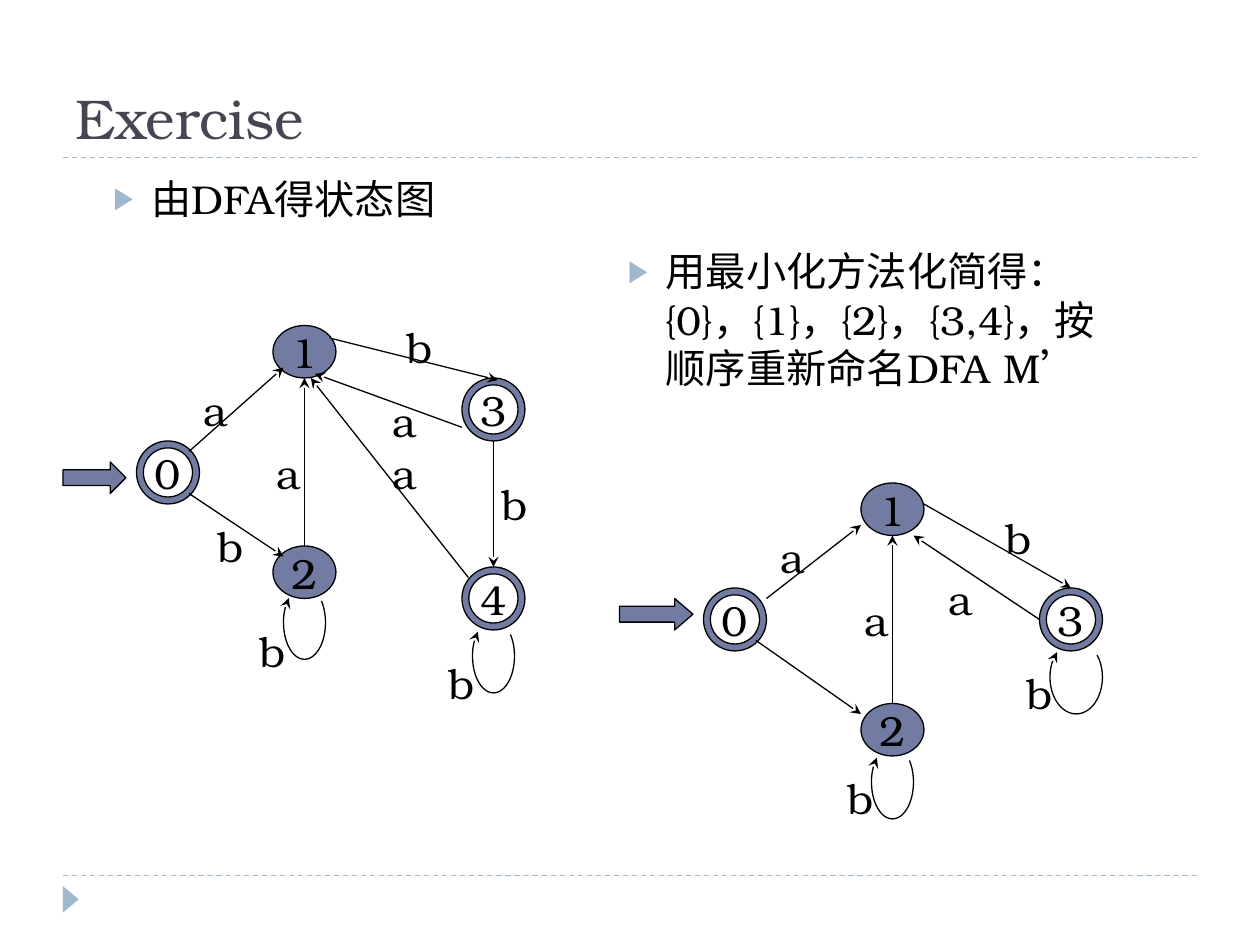
from dataclasses import dataclass

import pptx
import pptx.dml.color
import pptx.enum.dml
import pptx.enum.shapes
import pptx.enum.text
import pptx.oxml
import pptx.oxml.ns
import pptx.util

Cm = pptx.util.Cm
Pt = pptx.util.Pt
RGB = pptx.dml.color.RGBColor
SHAPE = pptx.enum.shapes.MSO_SHAPE
ANCHOR = pptx.enum.text.MSO_ANCHOR
ALIGN = pptx.enum.text.PP_ALIGN

GRID_CM = 2.54 / 12  # the slide is 120 by 90 grid steps
LABEL_WIDTH = {"a": 9, "b": 8}
LABEL_HEIGHT = 6.12
LOOP_HEIGHT = 7


@dataclass(frozen=True)
class Theme:
    font: str = "TeX Gyre Bonum"
    ink: RGB = RGB(0x00, 0x00, 0x00)
    heading: RGB = RGB(0x46, 0x46, 0x53)
    state: RGB = RGB(0x72, 0x7C, 0xA3)
    accent: RGB = RGB(0x9F, 0xB8, 0xCD)
    title_size: float = 32
    body_size: float = 23
    label_size: float = 24
    line_width: float = 0.75


THEME = Theme()


@dataclass(frozen=True)
class State:
    name: str
    x: float
    y: float
    accepting: bool = False


@dataclass(frozen=True)
class Edge:
    x1: float
    y1: float
    x2: float
    y2: float


@dataclass(frozen=True)
class Loop:
    x: float
    y: float
    width: float = 4
    start: float = 308
    end: float = 237.6


@dataclass(frozen=True)
class Label:
    letter: str
    x: float
    y: float


@dataclass(frozen=True)
class StartArrow:
    x: float
    y: float
    width: float
    head: float


@dataclass(frozen=True)
class Automaton:
    states: list[State]
    edges: list[Edge]
    loops: list[Loop]
    labels: list[Label]
    start: StartArrow


FULL_DFA = Automaton(
    states=[State("1", 26, 31), State("0", 13, 42, True), State("2", 26, 52),
            State("4", 44, 54, True), State("3", 44, 36, True)],
    edges=[Edge(18, 43, 27, 35), Edge(31.4, 32.2, 47.4, 36.2),
           Edge(44, 40.7, 30, 35.6), Edge(47, 42, 47, 54),
           Edge(44.6, 55, 29.6, 36), Edge(29, 52, 29, 36),
           Edge(18, 47, 27, 53)],
    loops=[Loop(27, 55.8), Loop(45, 59)],
    labels=[Label("a", 16, 36), Label("a", 34, 37.1), Label("a", 23, 42),
            Label("a", 34, 42), Label("b", 18, 49), Label("b", 22, 59),
            Label("b", 40, 62), Label("b", 36, 30), Label("b", 45, 45)],
    start=StartArrow(6, 44, 6, 0.5),
)
MINIMAL_DFA = Automaton(
    states=[State("0", 67, 56, True), State("3", 99, 56, True),
            State("1", 82, 46), State("2", 82, 67)],
    edges=[Edge(73, 57, 82, 50), Edge(88, 48, 102, 56), Edge(99, 59, 87, 51),
           Edge(72, 61, 82, 68), Edge(85, 67, 85, 51)],
    loops=[Loop(83, 71), Loop(100, 61, 5, 313, 232.6)],
    labels=[Label("a", 71, 50), Label("a", 79, 56), Label("a", 87, 54),
            Label("b", 78, 73), Label("b", 95, 63), Label("b", 93, 48.2)],
    start=StartArrow(59, 57, 7, 0.58),
)


def grid(*steps: float) -> list[Cm]:
    """Turn grid steps into lengths."""
    return [Cm(step * GRID_CM) for step in steps]


def add_xml(parent, tag: str, **attributes: str):
    child = pptx.oxml.ns.qn(tag)
    element = parent.makeelement(child, attributes)
    parent.append(element)
    return element


def style_text(paragraph, size: float, color: RGB) -> None:
    for run in paragraph.runs:
        run.font.name = THEME.font
        run.font.size = Pt(size)
        run.font.color.rgb = color


def outline(item, color: RGB = THEME.ink) -> None:
    item.line.color.rgb = color
    item.line.width = Pt(THEME.line_width)


def add_arrowhead(item) -> None:
    add_xml(item.line._get_or_add_ln(), "a:tailEnd", type="stealth")


def add_figure(shapes, kind, x: float, y: float, width: float, height: float):
    figure = shapes.add_shape(kind, *grid(x, y, width, height))
    figure.shadow.inherit = False
    outline(figure)
    return figure


def fill(figure, color: RGB) -> None:
    figure.fill.solid()
    figure.fill.fore_color.rgb = color


def add_line(shapes, edge: Edge, color: RGB = THEME.ink):
    line = shapes.add_connector(pptx.enum.shapes.MSO_CONNECTOR.STRAIGHT,
                                *grid(edge.x1, edge.y1, edge.x2, edge.y2))
    outline(line, color)
    add_xml(line._element.spPr, "a:effectLst")
    return line


def center_text(frame, text: str) -> None:
    frame.text = text
    frame.paragraphs[0].alignment = ALIGN.CENTER
    style_text(frame.paragraphs[0], THEME.label_size, THEME.ink)


def draw_state(shapes, state: State) -> None:
    kind, height = (SHAPE.DONUT, 6) if state.accepting else (SHAPE.OVAL, 5)
    node = add_figure(shapes, kind, state.x, state.y, 6, height)
    if state.accepting:
        node.adjustments[0] = 0.11
    fill(node, THEME.state)
    node.text_frame.word_wrap = False
    node.text_frame.vertical_anchor = ANCHOR.MIDDLE
    center_text(node.text_frame, state.name)


def draw_loop(shapes, loop: Loop) -> None:
    arc = add_figure(shapes, SHAPE.ARC, loop.x, loop.y, loop.width, LOOP_HEIGHT)
    arc.fill.background()
    for index, degrees in enumerate((loop.start, loop.end)):
        arc.adjustments[index] = degrees * 0.6  # 60000ths of a degree / 100000
    add_arrowhead(arc)


def draw_label(shapes, label: Label) -> None:
    box = shapes.add_textbox(*grid(label.x, label.y, LABEL_WIDTH[label.letter],
                                   LABEL_HEIGHT))
    box.text_frame.word_wrap = True
    center_text(box.text_frame, label.letter)


def draw_automaton(slide, automaton: Automaton) -> None:
    shapes = slide.shapes.add_group_shape().shapes
    for state in automaton.states:
        draw_state(shapes, state)
    for edge in automaton.edges:
        add_arrowhead(add_line(shapes, edge))
    for loop in automaton.loops:
        draw_loop(shapes, loop)
    for label in automaton.labels:
        draw_label(shapes, label)
    start = automaton.start
    arrow = add_figure(shapes, SHAPE.RIGHT_ARROW, start.x, start.y, start.width, 3)
    arrow.adjustments[1] = start.head
    fill(arrow, THEME.state)


def place(holder, x: float, y: float, width: float, height: float) -> None:
    holder.left, holder.top, holder.width, holder.height = grid(x, y, width, height)
    holder.text_frame.auto_size = pptx.enum.text.MSO_AUTO_SIZE.NONE


def write_bullet(holder, text: str) -> None:
    holder.text_frame.text = text
    paragraph = holder.text_frame.paragraphs[0]
    paragraph.level = 1
    properties = paragraph._p.get_or_add_pPr()
    properties.set("marL", str(Cm(1.52)))
    properties.set("indent", str(Cm(-0.76)))
    add_xml(add_xml(properties, "a:buClr"), "a:srgbClr", val=str(THEME.accent))
    add_xml(properties, "a:buSzPct", val="76000")
    add_xml(properties, "a:buChar", char="▶")
    paragraph.space_before = Pt(0)
    style_text(paragraph, THEME.body_size, THEME.ink)


def draw_frame(slide) -> None:
    """Draw the dashed rules and the corner marker."""
    for y in (83.4, 15):
        rule = add_line(slide.shapes, Edge(6, y, 114, y), THEME.accent)
        rule.line.dash_style = pptx.enum.dml.MSO_LINE.DASH
    marker = add_figure(slide.shapes, SHAPE.ISOSCELES_TRIANGLE, 5.5, 84.9, 2.5, 1.5)
    marker.rotation = 90
    fill(marker, THEME.accent)
    marker.line.fill.background()


def main() -> None:
    deck = pptx.Presentation()
    deck.slide_width, deck.slide_height = grid(120, 90)
    slide = deck.slides.add_slide(deck.slide_layouts[3])
    title, diagram_note, minimal_note = slide.placeholders

    draw_frame(slide)
    place(title, 6, 2, 108, 13)
    title.text_frame.text = "Exercise"
    title.text_frame.vertical_anchor = ANCHOR.BOTTOM
    title.text_frame.paragraphs[0].alignment = ALIGN.LEFT
    style_text(title.text_frame.paragraphs[0], THEME.title_size, THEME.heading)

    place(diagram_note, 6, 16, 53, 64.8)
    write_bullet(diagram_note, "由DFA得状态图")
    place(minimal_note, 55, 22.9, 52.5, 25.1)
    write_bullet(minimal_note,
                 "用最小化方法化简得：{0}，{1}，{2}，{3,4}，按顺序重新命名DFA M’")

    draw_automaton(slide, FULL_DFA)
    draw_automaton(slide, MINIMAL_DFA)
    deck.save("out.pptx")


if __name__ == "__main__":
    main()
